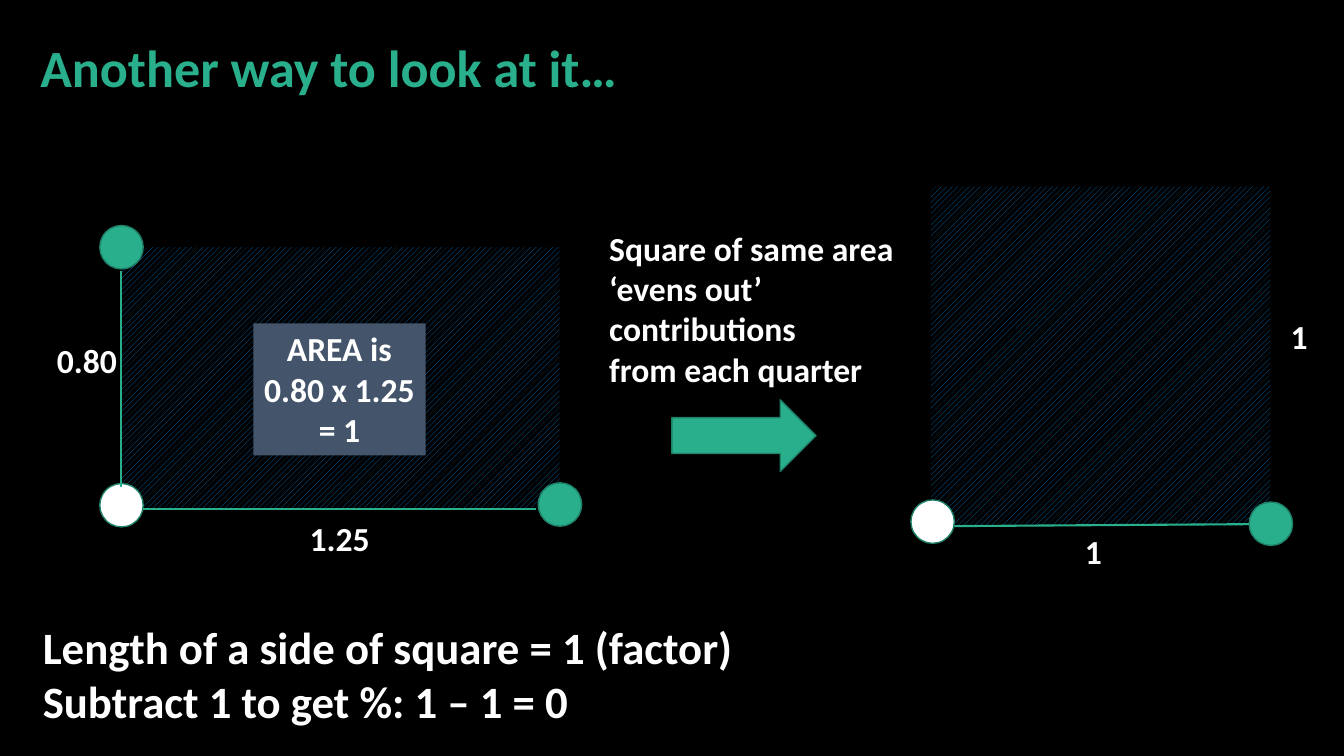
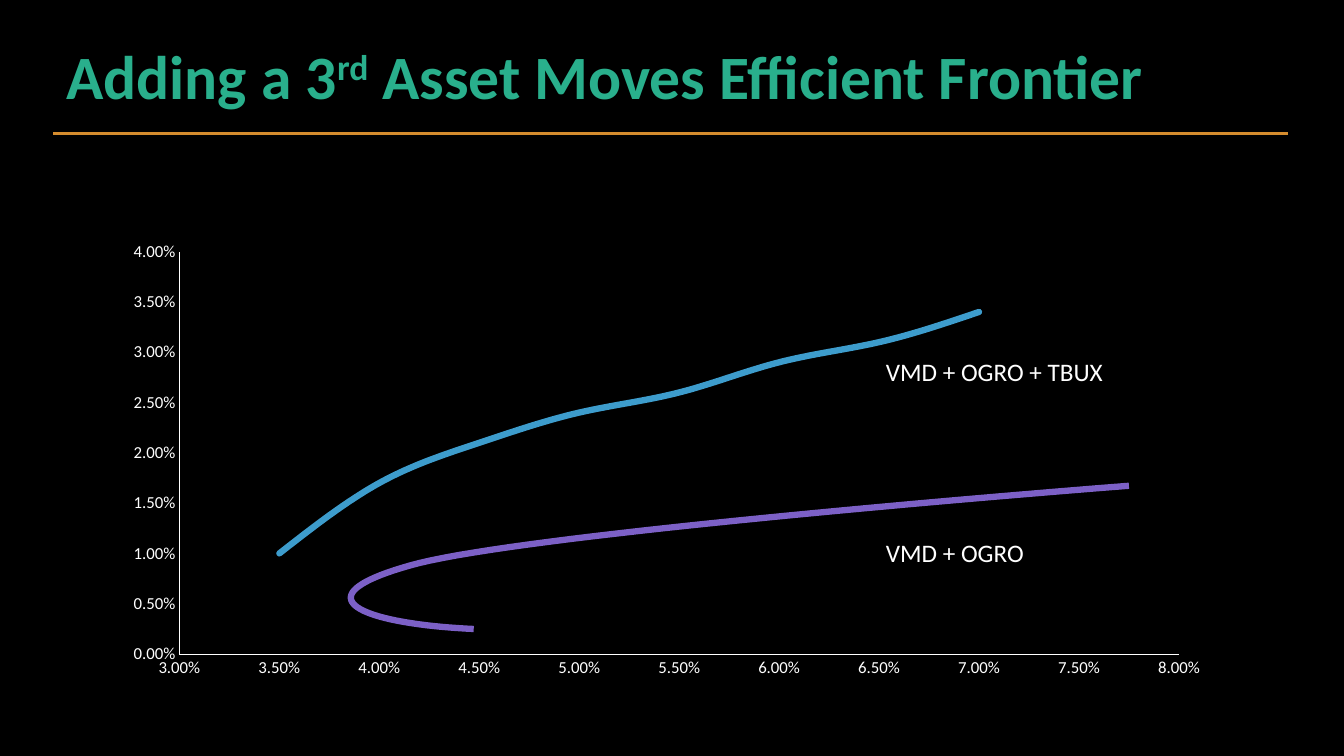
from dataclasses import dataclass

from lxml import etree
from pptx import Presentation
from pptx import util as u
from pptx.chart import data
from pptx.dml.color import RGBColor
from pptx.enum import chart as charts, dml, shapes, text
from pptx.oxml.ns import qn


@dataclass(frozen=True)
class Theme:
    font: str = "Calibri"
    back: str = "000000"
    white: str = "FFFFFF"
    green: str = "29AF8C"
    edge: str = "1E8168"
    hatch: str = "0070C0"
    slate: str = "44546A"
    blue: str = "3D9CCC"
    purple: str = "7C60C6"
    orange: str = "D58C2E"
    head: float = 44
    subhead: float = 37.3
    large: float = 32
    body: float = 24
    label: float = 18
    axis: float = 12


T = Theme()
SHAPE = shapes.MSO_SHAPE
ALIGN = text.PP_ALIGN

# Slide 1: boxes are left, top, width, height in points
LOOK_TITLE = "Another way to look at it…"
AREAS = [(85.7, 176.4, 314, 187.2), (664.8, 133.2, 242.6, 242.6)]
DOT = 31
DOTS = [  # left, top, fill
    (71.3, 345.4, T.white), (384.5, 344.9, T.green), (71.3, 161.1, T.green),
    (650.7, 357.1, T.white), (892.3, 358.6, T.green),
]
SIDES = [
    (102.2, 363.6, 383, 363.6),
    (86.4, 347.8, 86.4, 193.7),
    (681.8, 375.8, 892.1, 374.4),
]
ARROW = (479.9, 285.6, 103, 51.1)
NOTES = [  # box, paragraphs, format
    ((33.6, 239.5, 57.6, 36), ["0.80"], {}),
    ((180.9, 230.9, 123.1, 94.3), ["AREA is", "0.80 x 1.25", "= 1"],
     dict(align=ALIGN.CENTER, fill=T.slate)),
    ((214.1, 366.5, 57.6, 36), ["1.25"], {}),
    ((428.1, 159.1, 226.8, 123.8),
     ["Square of same area", "‘evens out’ contributions",
      "from each quarter"], dict(wrap=True)),
    ((767.8, 375.8, 26.6, 36), ["1"], {}),
    ((914.8, 221.8, 26.6, 36), ["1"], {}),
    ((23.5, 439.2, 511.9, 85),
     ["Length of a side of square = 1 (factor)",
      "Subtract 1 to get %: 1 – 1 = 0"], dict(size=T.large)),
]

# Slide 2: ^ marks raised text
FRONT_TITLE = "Adding a 3^rd^ Asset Moves Efficient Frontier"
RULE = (38.2, 95.4, 920.2, 95.4)
CHART = (79.6, 166.1, 793.4, 324.7)
POINTS = [
    (0.035, 0.01), (0.04, 0.017), (0.045, 0.021), (0.05, 0.024),
    (0.055, 0.026), (0.06, 0.029), (0.065, 0.031), (0.07, 0.034),
]
LABELS = [
    ((625.7, 380.2, 112.3, 28.8), ["VMD + OGRO"]),
    ((625.7, 251.3, 168.5, 28.8), ["VMD + OGRO + TBUX"]),
]
CURVE = [  # joined cubic arcs: four control points each
    [(338.4, 449.3), (259.9, 445.7), (211, 427), (293, 403.9)],
    [(293, 403.9), (375.1, 380.2), (806.4, 347), (806.4, 347)],
]


def rgb(code):
    return RGBColor.from_string(code)


def pts(vals):
    return [u.Pt(val) for val in vals]


def paint(shape, color):
    shape.fill.solid()
    shape.fill.fore_color.rgb = rgb(color)


def stroke(line, color, width):
    line.color.rgb = rgb(color)
    line.width = u.Pt(width)


def style(font, size, color=T.white, bold=False):
    font.name, font.size, font.bold = T.font, u.Pt(size), bold
    font.color.rgb = rgb(color)


def write(frame, paras, size=T.body, color=T.white, bold=True,
          align=ALIGN.LEFT, wrap=False, anchor=text.MSO_ANCHOR.TOP, space=1):
    """Fill a text frame; pieces between ^ marks are raised."""
    frame.word_wrap, frame.vertical_anchor = wrap, anchor
    frame.auto_size = text.MSO_AUTO_SIZE.NONE
    for num, words in enumerate(paras):
        para = frame.add_paragraph() if num else frame.paragraphs[0]
        para.alignment, para.line_spacing = align, space
        for part, piece in enumerate(words.split("^")):
            run = para.add_run()
            run.text = piece
            style(run.font, size, color, bold)
            if part % 2:
                run.font._element.set("baseline", "30000")


def note(slide, box, paras, fill=None, **form):
    shape = slide.shapes.add_textbox(*pts(box))
    if fill:
        paint(shape, fill)
    write(shape.text_frame, paras, **form)


def start(deck, words, box, **form):
    """Add a title-only slide with its title in place."""
    slide = deck.slides.add_slide(deck.slide_layouts[5])
    title = slide.shapes.title
    title.left, title.top, title.width, title.height = pts(box)
    write(title.text_frame, [words], color=T.green, **form)
    return slide


def block(slide, kind, box):
    shape = slide.shapes.add_shape(kind, *pts(box))
    shape.shadow.inherit = False
    return shape


def mark(slide, kind, box, color):
    shape = block(slide, kind, box)
    paint(shape, color)
    stroke(shape.line, T.edge, 1)


def hatch(slide, box):
    shape = block(slide, SHAPE.RECTANGLE, box)
    shape.fill.patterned()
    shape.fill.pattern = dml.MSO_PATTERN.WIDE_UPWARD_DIAGONAL
    shape.fill.fore_color.rgb = rgb(T.hatch)
    shape.fill.back_color.rgb = rgb(T.back)
    shape.line.fill.background()


def link(slide, ends, color, width):
    line = slide.shapes.add_connector(
        shapes.MSO_CONNECTOR.STRAIGHT, *pts(ends))
    stroke(line.line, color, width)
    etree.SubElement(line._element.spPr, qn("a:effectLst"))


def trace(arc, steps=40):
    """Points along a cubic arc, without its first one."""
    for step in range(1, steps + 1):
        t = step / steps
        rates = ((1 - t) ** 3, 3 * t * (1 - t) ** 2,
                 3 * t * t * (1 - t), t ** 3)
        yield tuple(u.Pt(sum(r * p[dim] for r, p in zip(rates, arc)))
                    for dim in (0, 1))


def bend(slide, arcs, color, width):
    path = slide.shapes.build_freeform(*pts(arcs[0][0]))
    for arc in arcs:
        path.add_line_segments(list(trace(arc)), close=False)
    shape = path.convert_to_shape()
    shape.shadow.inherit = False
    shape.fill.background()
    stroke(shape.line, color, width)


def scale(axis, low, high):
    axis.minimum_scale, axis.maximum_scale = low, high
    axis.major_unit = 0.005
    axis.has_major_gridlines = False
    axis.major_tick_mark = axis.minor_tick_mark = charts.XL_TICK_MARK.NONE
    axis.tick_labels.number_format = "0.00%"
    axis.tick_labels.number_format_is_linked = False
    style(axis.tick_labels.font, T.axis)
    stroke(axis.format.line, T.white, 0.75)


def plot(slide):
    source = data.XyChartData()
    series = source.add_series("Series 1")
    for x, y in POINTS:
        series.add_data_point(x, y)
    chart = slide.shapes.add_chart(
        charts.XL_CHART_TYPE.XY_SCATTER_SMOOTH_NO_MARKERS,
        *pts(CHART), source).chart
    chart.has_legend = chart.has_title = False
    style(chart.font, T.axis)
    chart.plots[0].vary_by_categories = False
    scale(chart.category_axis, 0.03, 0.08)
    scale(chart.value_axis, 0, 0.04)
    curve = chart.plots[0].series[0]
    stroke(curve.format.line, T.blue, 4.5)
    curve._element.find(".//" + qn("a:ln")).set("cap", "rnd")
    # XY series have no public smooth property
    curve._element.find(qn("c:smooth")).set("val", "1")


def look(deck):
    slide = start(deck, LOOK_TITLE, (21.6, 21.6, 431.3, 52.6),
                  size=T.subhead)
    for box in AREAS:
        hatch(slide, box)
    for box, paras, form in NOTES:
        note(slide, box, paras, **form)
    for left, top, color in DOTS:
        mark(slide, SHAPE.OVAL, (left, top, DOT, DOT), color)
    mark(slide, SHAPE.RIGHT_ARROW, ARROW, T.green)
    for ends in SIDES:
        link(slide, ends, T.green, 1.5)


def front(deck):
    slide = start(deck, FRONT_TITLE, (40.3, 4.3, 828, 104.4), size=T.head,
                  wrap=True, anchor=text.MSO_ANCHOR.MIDDLE, space=0.9)
    plot(slide)
    for box, paras in LABELS:
        note(slide, box, paras, size=T.label, bold=False)
    bend(slide, CURVE, T.purple, 4.5)
    link(slide, RULE, T.orange, 2.25)


def main():
    deck = Presentation()
    deck.slide_width, deck.slide_height = pts((960, 540))
    paint(deck.slide_master.background, T.back)
    look(deck)
    front(deck)
    deck.save("out.pptx")


if __name__ == "__main__":
    main()
